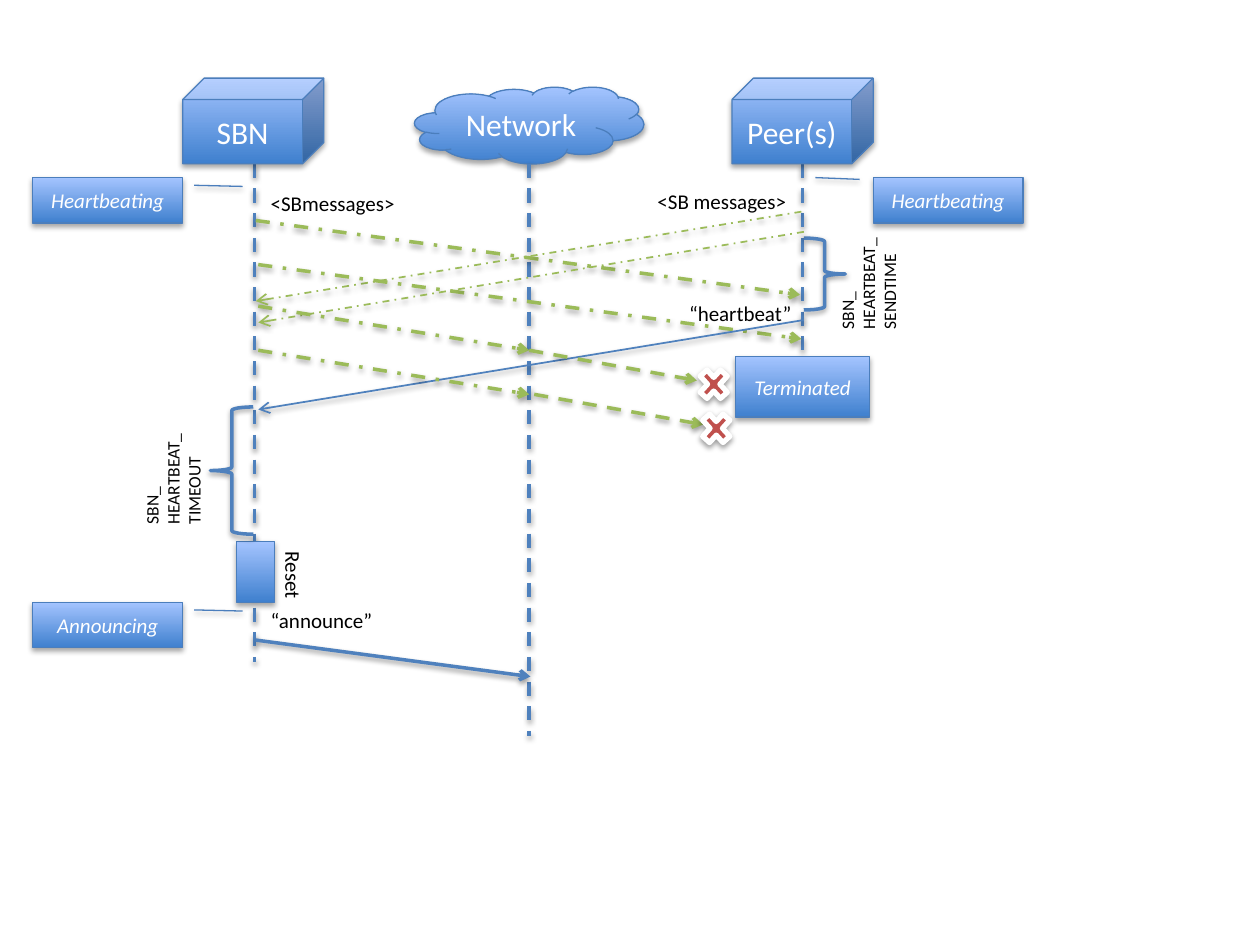
from dataclasses import dataclass

from lxml.etree import SubElement
from pptx import Presentation
from pptx.dml.color import RGBColor
from pptx.enum.dml import MSO_LINE
from pptx.enum.shapes import MSO_CONNECTOR, MSO_SHAPE
from pptx.enum.text import MSO_ANCHOR, MSO_AUTO_SIZE, PP_ALIGN
from pptx.oxml.ns import qn
from pptx.util import Inches, Pt


@dataclass(frozen=True)
class Theme:
    font: str = "Calibri"
    white: str = "FFFFFF"
    black: str = "000000"
    blue: str = "4F81BD"
    edge: str = "4B7EBC"
    green: str = "9BBB59"
    red: str = "C0504D"
    gradient: tuple = ("3F80CE", "A4C4FF")
    title: int = 18
    body: int = 12
    small: int = 10


@dataclass(frozen=True)
class Block:
    kind: MSO_SHAPE
    box: tuple
    text: str = ""
    size: int = 12
    italic: bool = True
    adjustments: tuple = ()


@dataclass(frozen=True)
class Message:
    start: tuple
    end: tuple
    color: str
    width: float = 2
    dash: MSO_LINE | None = MSO_LINE.DASH_DOT
    arrow: bool = True


@dataclass(frozen=True)
class Label:
    box: tuple
    text: str
    size: int = 12
    rotation: int = 0


THEME = Theme()
SBN_X, NETWORK_X, PEER_X = 2.02, 4.2, 6.37
NODE_TOP, NODE_W, NODE_H = 0.62, 1.12, 0.68
LIFELINE_TOP = NODE_TOP + NODE_H
NOTE_W, NOTE_H = 1.19, 0.36
POINT_RIGHT = (0.17, 1.077, 0.195, 1.399)
POINT_LEFT = (0.04, -0.091, -0.001, -0.386)


def node(center: float, text: str) -> Block:
    box = (center - NODE_W / 2, NODE_TOP, NODE_W, NODE_H)
    return Block(MSO_SHAPE.CUBE, box, text, THEME.title, False)


def note(left: float, top: float, text: str, pointer: tuple) -> Block:
    return Block(MSO_SHAPE.LINE_CALLOUT_1, (left, top, NOTE_W, NOTE_H), text,
                 adjustments=pointer)


def lifeline(x: float, bottom: float) -> Message:
    return Message((x, LIFELINE_TOP), (x, bottom), THEME.blue, dash=MSO_LINE.DASH, arrow=False)


LIFELINES = [lifeline(SBN_X, 5.25), lifeline(NETWORK_X, 5.84), lifeline(PEER_X, 2.83)]
NETWORK = Block(MSO_SHAPE.CLOUD, (3.29, 0.69, 1.82, 0.61), "Network", THEME.title, False)
TERMINATED = Block(MSO_SHAPE.RECTANGLE, (5.84, 2.83, 1.06, 0.48), "Terminated")
BLOCKS = [
    node(PEER_X, "Peer(s)"),
    node(SBN_X - 0.01, "SBN"),
    note(0.26, 1.41, "Heartbeating", POINT_RIGHT),
    note(6.93, 1.41, "Heartbeating", POINT_LEFT),
    note(0.26, 4.78, "Announcing", POINT_RIGHT),
    Block(MSO_SHAPE.RECTANGLE, (1.88, 4.3, 0.3, 0.48)),
]
MESSAGES = [
    Message((2.03, 1.75), (6.35, 2.34), THEME.green),
    Message((6.36, 1.68), (2.03, 2.39), THEME.green, 1),
    Message((2.05, 2.1), (6.36, 2.69), THEME.green),
    Message((6.38, 1.84), (2.05, 2.56), THEME.green, 1),
    Message((6.38, 2.54), (2.05, 3.25), THEME.blue, 1, None),
    Message((2.03, 5.08), (4.21, 5.37), THEME.blue, 2, None),
    Message((2.05, 2.43), (4.2, 2.78), THEME.green),
    Message((2.05, 2.78), (4.2, 3.13), THEME.green),
    Message((4.2, 2.78), (5.53, 3.02), THEME.green, dash=MSO_LINE.DASH),
    Message((4.24, 3.13), (5.58, 3.37), THEME.green, dash=MSO_LINE.DASH),
]
LABELS = [
    Label((2.05, 1.46, 1.2, 0.3), "<SBmessages>"),
    Label((5.12, 1.45, 1.24, 0.3), "<SB messages>"),
    Label((5.37, 2.34, 1.02, 0.3), "“heartbeat”"),
    Label((2.05, 4.77, 1.02, 0.3), "“announce”"),
    Label((2.04, 4.42, 0.58, 0.3), "Reset", rotation=90),
    Label((0.9, 3.48, 0.95, 0.61), "SBN_\nHEARTBEAT_\nTIMEOUT", THEME.small, 270),
    Label((6.42, 1.93, 0.95, 0.61), "SBN_\nHEARTBEAT_\nSENDTIME", THEME.small, 270),
]
LOST_MESSAGES = [(5.51, 2.88, 0.31, 0.34), (5.53, 3.23, 0.31, 0.34)]


def rgb(color: str) -> RGBColor:
    return RGBColor.from_string(color)


def set_line(line, color: str, width: float) -> None:
    line.color.rgb = rgb(color)
    line.width = Pt(width)


def add_shadow(owner, opacity: int = 38, distance: float = 1.6) -> None:
    effects = SubElement(owner._element.spPr, qn("a:effectLst"))
    shadow = SubElement(effects, qn("a:outerShdw"), blurRad=str(Pt(3.1)),
                        dist=str(Pt(distance)), dir="5400000", rotWithShape="0")
    tint = SubElement(shadow, qn("a:srgbClr"), val=THEME.black)
    SubElement(tint, qn("a:alpha"), val=str(opacity * 1000))


def write_text(frame, text: str, *, size: int, color: str, italic: bool = False,
               align=PP_ALIGN.LEFT, anchor=MSO_ANCHOR.TOP) -> None:
    frame.text = text
    frame.vertical_anchor = anchor
    for paragraph in frame.paragraphs:
        paragraph.alignment = align
        for run in paragraph.runs:
            run.font.name = THEME.font
            run.font.size = Pt(size)
            run.font.italic = italic
            run.font.color.rgb = rgb(color)


def add_preset(slide, kind: MSO_SHAPE, box: tuple):
    return slide.shapes.add_shape(kind, *map(Inches, box))


def draw_block(slide, block: Block):
    shape = add_preset(slide, block.kind, block.box)
    for index, value in enumerate(block.adjustments):
        shape.adjustments[index] = value
    shape.fill.gradient()
    shape.fill.gradient_angle = 90
    for stop, color in zip(shape.fill.gradient_stops, THEME.gradient):
        stop.color.rgb = rgb(color)
    set_line(shape.line, THEME.edge, 0.75)
    add_shadow(shape, 35, 1.8)
    if block.text:
        write_text(shape.text_frame, block.text, size=block.size, color=THEME.white,
                   italic=block.italic, align=PP_ALIGN.CENTER, anchor=MSO_ANCHOR.MIDDLE)
    return shape


def draw_message(slide, message: Message):
    connector = slide.shapes.add_connector(
        MSO_CONNECTOR.STRAIGHT, *map(Inches, message.start + message.end))
    set_line(connector.line, message.color, message.width)
    if message.dash:
        connector.line.dash_style = message.dash
    if message.arrow:
        SubElement(connector.line._get_or_add_ln(), qn("a:tailEnd"), type="arrow")
    add_shadow(connector)
    return connector


def draw_label(slide, label: Label) -> None:
    box = slide.shapes.add_textbox(*map(Inches, label.box))
    box.rotation = label.rotation
    box.text_frame.word_wrap = False
    box.text_frame.auto_size = MSO_AUTO_SIZE.SHAPE_TO_FIT_TEXT
    write_text(box.text_frame, label.text, size=label.size, color=THEME.black)


def draw_brace(slide, box: tuple, flipped: bool = False) -> None:
    brace = add_preset(slide, MSO_SHAPE.LEFT_BRACE, box)
    brace.fill.background()
    set_line(brace.line, THEME.blue, 2)
    add_shadow(brace)
    if flipped:
        brace._element.spPr.xfrm.set("flipH", "1")


def draw_lost_mark(slide, box: tuple) -> None:
    cross = add_preset(slide, MSO_SHAPE.MATH_MULTIPLY, box)
    cross.fill.solid()
    cross.fill.fore_color.rgb = rgb(THEME.red)
    set_line(cross.line, THEME.white, 3)
    add_shadow(cross)


def main() -> None:
    deck = Presentation()
    deck.slide_width, deck.slide_height = Inches(10), Inches(7.5)
    slide = deck.slides.add_slide(deck.slide_layouts[6])
    draw_block(slide, NETWORK)
    *_, peer_lifeline = [draw_message(slide, line) for line in LIFELINES]
    for block in BLOCKS:
        draw_block(slide, block)
    peer_lifeline.end_connect(draw_block(slide, TERMINATED), 0)
    draw_brace(slide, (1.67, 3.23, 0.34, 1.01))
    draw_brace(slide, (6.38, 1.89, 0.33, 0.57), flipped=True)
    for message in MESSAGES:
        draw_message(slide, message)
    for label in LABELS:
        draw_label(slide, label)
    for box in LOST_MESSAGES:
        draw_lost_mark(slide, box)
    deck.save("out.pptx")


if __name__ == "__main__":
    main()
